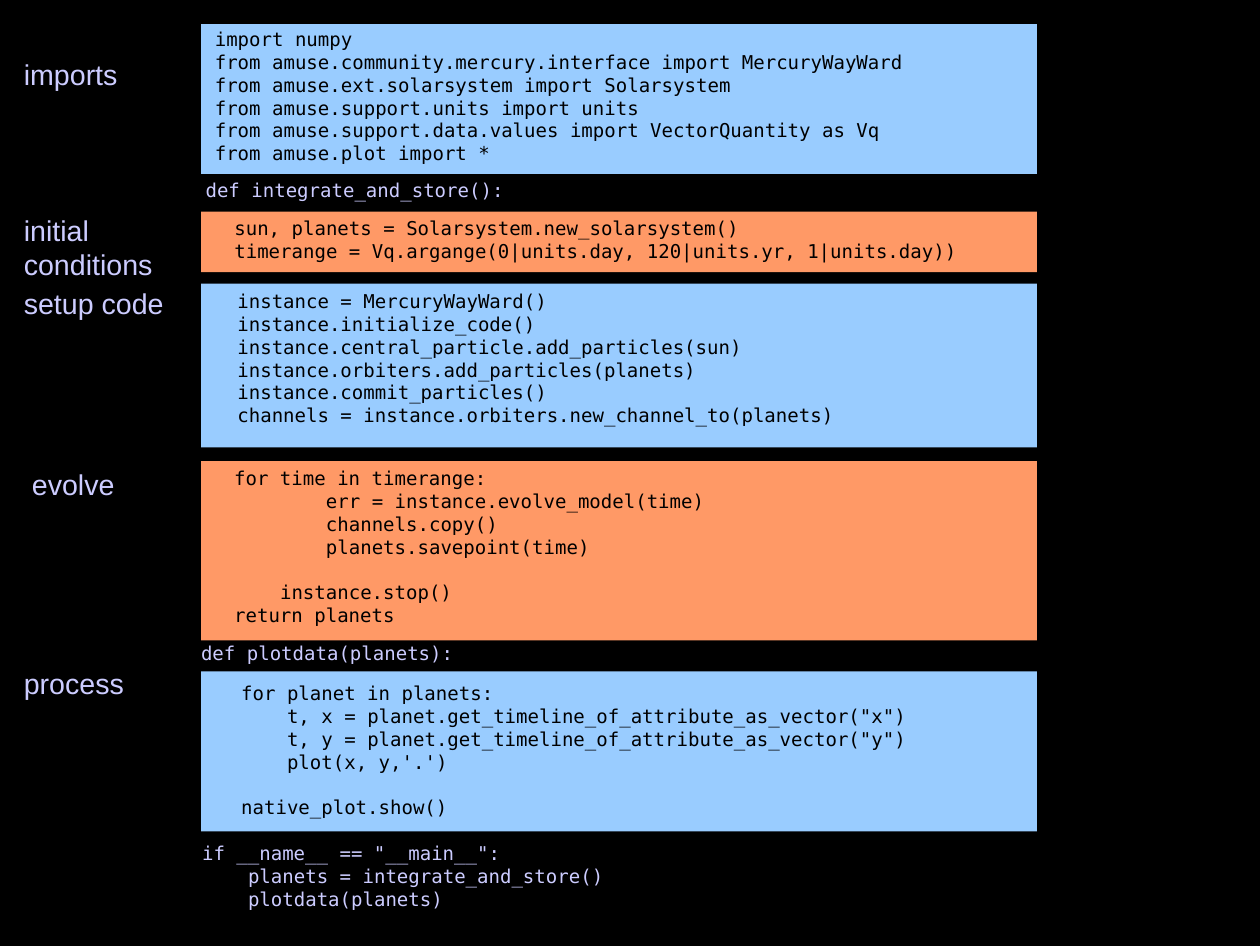
from pptx import Presentation
from pptx.dml.color import RGBColor
from pptx.enum.shapes import MSO_SHAPE as Shape
from pptx.enum.text import MSO_ANCHOR as Anchor, MSO_AUTO_SIZE as AutoSize, PP_ALIGN as Align
from pptx.util import Pt

COLORS = {
    "background": "000000",
    "blue": "99CCFF",
    "orange": "FF9966",
    "code": "000000",
    "lilac": "CCCCFF",
}
CODE_FONT, LABEL_FONT = "DejaVu Sans Mono", "Arial"
CODE_SIZE, LABEL_SIZE = 12, 18
INDENT = 28.9  # width of four code characters
BLANK_LINE = 14
PANEL_LEFT, PANEL_WIDTH = 126.7, 526.3
LABEL_LEFT, LABEL_WIDTH = 7.9, 112

# Panels: top, height, color
PANELS = [
    (15.1, 94.3, "blue"),
    (133.2, 38.2, "orange"),
    (178.6, 103, "blue"),
    (290.2, 113, "orange"),
    (422.6, 100.8, "blue"),
]

# Labels: left, top, text
LABELS = [
    (LABEL_LEFT, 32.4, "imports"),
    (LABEL_LEFT, 130.3, "initial\nconditions"),
    (LABEL_LEFT, 176.4, "setup code"),
    (13, 290.2, "evolve"),
    (LABEL_LEFT, 415.4, "process"),
]

# Code blocks: left, top, width, color, source
CODE_BLOCKS = [
    (128.2, 13.7, 545.8, "code", """\
import numpy
from amuse.community.mercury.interface import MercuryWayWard
from amuse.ext.solarsystem import Solarsystem
from amuse.support.units import units
from amuse.support.data.values import VectorQuantity as Vq
from amuse.plot import *"""),
    (122.4, 108.7, 213, "lilac", "def integrate_and_store():"),
    (111.6, 132.5, 530, "code", """\
    sun, planets = Solarsystem.new_solarsystem()
    timerange = Vq.argange(0|units.day, 120|units.yr, 1|units.day))"""),
    (113.5, 178.6, 450, "code", """\
    instance = MercuryWayWard()
    instance.initialize_code()
    instance.central_particle.add_particles(sun)
    instance.orbiters.add_particles(planets)
    instance.commit_particles()
    channels = instance.orbiters.new_channel_to(planets)"""),
    (140.4, 290.2, 321, "code", """\
for time in timerange:
        err = instance.evolve_model(time)
        channels.copy()
        planets.savepoint(time)

    instance.stop()
return planets"""),
    (119.5, 400.3, 190, "lilac", "def plotdata(planets):"),
    (115.9, 425.5, 490, "code", """\
    for planet in planets:
        t, x = planet.get_timeline_of_attribute_as_vector("x")
        t, y = planet.get_timeline_of_attribute_as_vector("y")
        plot(x, y,'.')

    native_plot.show()"""),
    (120.2, 526.3, 543.6, "lilac", """\
if __name__ == "__main__":
    planets = integrate_and_store()
    plotdata(planets)"""),
]


class CodeSlide:
    """Holds the current slide and its style."""

    def __init__(self, deck):
        self.page = deck.slides.add_slide(deck.slide_layouts[6])
        fill = self.page.background.fill
        fill.solid()
        fill.fore_color.rgb = self.color("background")

    def color(self, name):
        return RGBColor.from_string(COLORS[name])

    def panel(self, top, height, color):
        box = self.page.shapes.add_shape(
            Shape.RECTANGLE, Pt(PANEL_LEFT), Pt(top), Pt(PANEL_WIDTH), Pt(height))
        box.shadow.inherit = False
        box.fill.solid()
        box.fill.fore_color.rgb = self.color(color)
        box.line.fill.background()

    def text(self, left, top, width, source, font, size, color):
        lines = source.split("\n")
        height = len(lines) * size * 1.17 + 7.2
        box = self.page.shapes.add_textbox(Pt(left), Pt(top), Pt(width), Pt(height))
        frame = box.text_frame
        frame.word_wrap = True
        frame.auto_size = AutoSize.SHAPE_TO_FIT_TEXT
        frame.vertical_anchor = Anchor.TOP
        para, gap = frame.paragraphs[0], 0
        for number, line in enumerate(lines):
            words = line.lstrip()
            if not words:  # a blank line becomes space before the next one
                gap = BLANK_LINE
                continue
            if number:
                para = frame.add_paragraph()
            para.alignment = Align.LEFT
            para.space_before = Pt(gap)
            level = (len(line) - len(words)) // 4
            para._p.get_or_add_pPr().set("marL", str(Pt(level * INDENT)))
            span = para.add_run()
            span.text = words
            span.font.name = font
            span.font.size = Pt(size)
            span.font.color.rgb = self.color(color)
            gap = 0

    def label(self, left, top, words):
        self.text(left, top, LABEL_WIDTH, words, LABEL_FONT, LABEL_SIZE, "lilac")

    def code(self, left, top, width, color, source):
        self.text(left, top, width, source, CODE_FONT, CODE_SIZE, color)


def main():
    deck = Presentation()
    deck.slide_width, deck.slide_height = Pt(793.44), Pt(595.44)
    slide = CodeSlide(deck)

    # Colored panels behind the code
    for panel in PANELS:
        slide.panel(*panel)

    # Step names on the left
    for label in LABELS:
        slide.label(*label)

    # Code listing
    for block in CODE_BLOCKS:
        slide.code(*block)

    deck.save("out.pptx")


if __name__ == "__main__":
    main()
